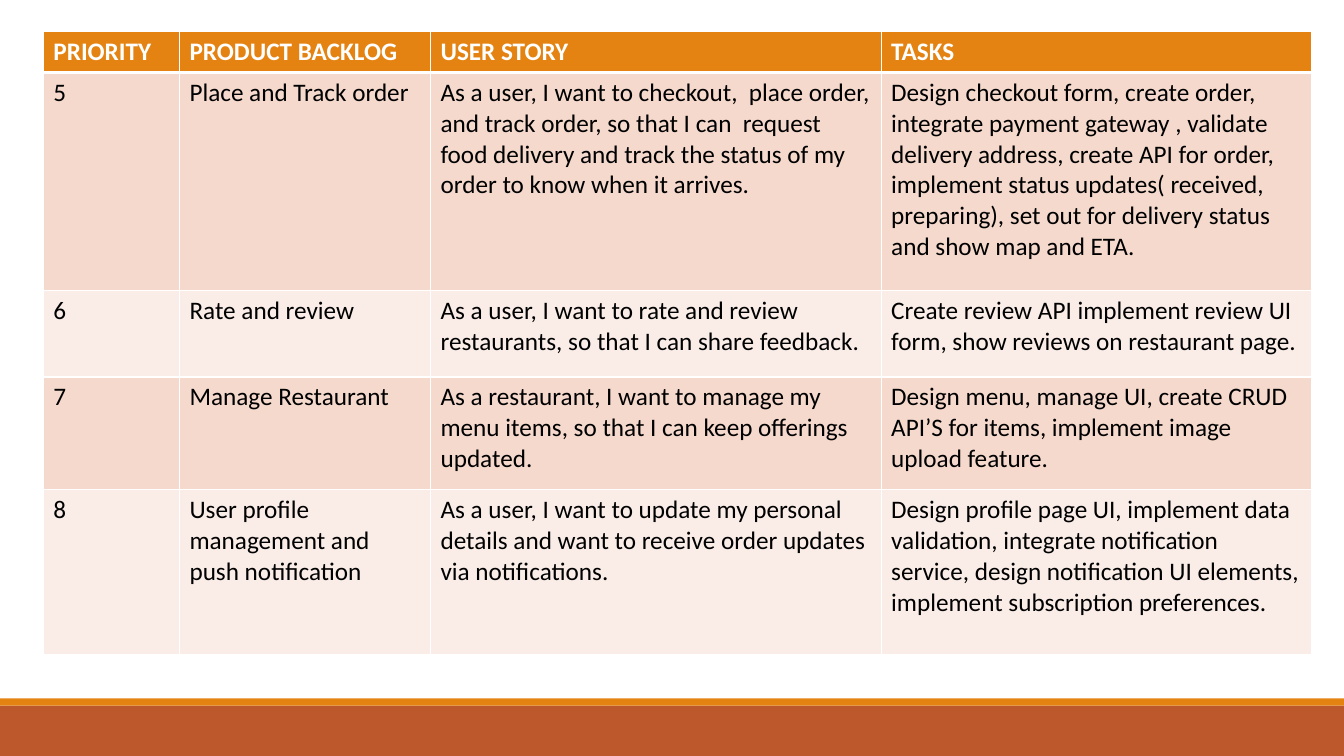
from dataclasses import dataclass

from lxml.etree import SubElement
from pptx import Presentation
from pptx.dml.color import RGBColor
from pptx.enum.shapes import MSO_SHAPE
from pptx.oxml.ns import qn
from pptx.util import Inches, Pt

# Content
HEADERS = ("PRIORITY", "PRODUCT BACKLOG", "USER STORY", "TASKS")
STORIES = [
    ("5", "Place and Track order",
     "As a user, I want to checkout,  place order, and track order, so that I can  request "
     "food delivery and track the status of my order to know when it arrives.",
     "Design checkout form, create order, integrate payment gateway , validate delivery "
     "address, create API for order, implement status updates( received, preparing), "
     "set out for delivery status and show map and ETA."),
    ("6", "Rate and review",
     "As a user, I want to rate and review restaurants, so that I can share feedback.",
     "Create review API implement review UI form, show reviews on restaurant page."),
    ("7", "Manage Restaurant",
     "As a restaurant, I want to manage my menu items, so that I can keep offerings updated.",
     "Design menu, manage UI, create CRUD API’S for items, implement image upload feature."),
    ("8", "User profile management and push notification",
     "As a user, I want to update my personal details and want to receive order updates "
     "via notifications.",
     "Design profile page UI, implement data validation, integrate notification service, "
     "design notification UI elements, implement subscription preferences."),
]

# Layout, in inches
SLIDE_W, SLIDE_H = 13.33, 7.5
TABLE_LEFT, TABLE_TOP = 0.43, 0.31
COL_WIDTHS = (1.35, 2.49, 4.47, 4.27)
ROW_HEIGHTS = (0.41, 2.16, 0.86, 1.12, 1.64)
FOOTER_H, STRIPE_H = 0.5, 0.07


@dataclass(frozen=True)
class Theme:
    font: str = "Calibri"
    size: int = 18
    accent: str = "E48312"
    footer: str = "BD582C"
    bands: tuple = ("F5D9CC", "FAEDE7")
    text: str = "000000"
    white: str = "FFFFFF"
    rule: int = 1
    header_rule: int = 3


THEME = Theme()


def add_bar(slide, top, height, color):
    sp = slide.shapes.add_shape(MSO_SHAPE.RECTANGLE, 0, Inches(top),
                                Inches(SLIDE_W), Inches(height))
    sp.shadow.inherit = False
    sp.fill.solid()
    sp.fill.fore_color.rgb = RGBColor.from_string(color)
    sp.line.fill.background()


def set_borders(cell, top, bottom):
    tcPr = cell._tc.get_or_add_tcPr()
    widths = {"a:lnL": THEME.rule, "a:lnR": THEME.rule, "a:lnT": top, "a:lnB": bottom}
    for tag, width in widths.items():
        ln = SubElement(tcPr, qn(tag), w=str(Pt(width)))
        fill = SubElement(ln, qn("a:solidFill"))
        SubElement(fill, qn("a:srgbClr"), val=THEME.white)


def format_cell(cell, text, row):
    is_header = row == 0
    set_borders(cell,
                top=THEME.header_rule if row == 1 else THEME.rule,
                bottom=THEME.header_rule if is_header else THEME.rule)
    fill = THEME.accent if is_header else THEME.bands[(row - 1) % 2]
    cell.fill.solid()
    cell.fill.fore_color.rgb = RGBColor.from_string(fill)
    cell.text_frame.text = text
    font = cell.text_frame.paragraphs[0].runs[0].font
    font.name, font.size, font.bold = THEME.font, Pt(THEME.size), is_header
    font.color.rgb = RGBColor.from_string(THEME.white if is_header else THEME.text)


def add_backlog(slide):
    rows = [HEADERS, *STORIES]
    table = slide.shapes.add_table(
        len(rows), len(HEADERS), Inches(TABLE_LEFT), Inches(TABLE_TOP),
        Inches(sum(COL_WIDTHS)), Inches(sum(ROW_HEIGHTS))).table
    for column, width in zip(table.columns, COL_WIDTHS):
        column.width = Inches(width)
    for row, height in zip(table.rows, ROW_HEIGHTS):
        row.height = Inches(height)
    for r, texts in enumerate(rows):
        for c, text in enumerate(texts):
            format_cell(table.cell(r, c), text, r)


def main():
    prs = Presentation()
    prs.slide_width, prs.slide_height = Inches(SLIDE_W), Inches(SLIDE_H)
    slide = prs.slides.add_slide(prs.slide_layouts[6])

    # Footer bars
    footer_top = SLIDE_H - FOOTER_H
    add_bar(slide, footer_top, FOOTER_H, THEME.footer)
    add_bar(slide, footer_top - STRIPE_H, STRIPE_H, THEME.accent)

    # Backlog table
    add_backlog(slide)
    prs.save("out.pptx")


if __name__ == "__main__":
    main()
